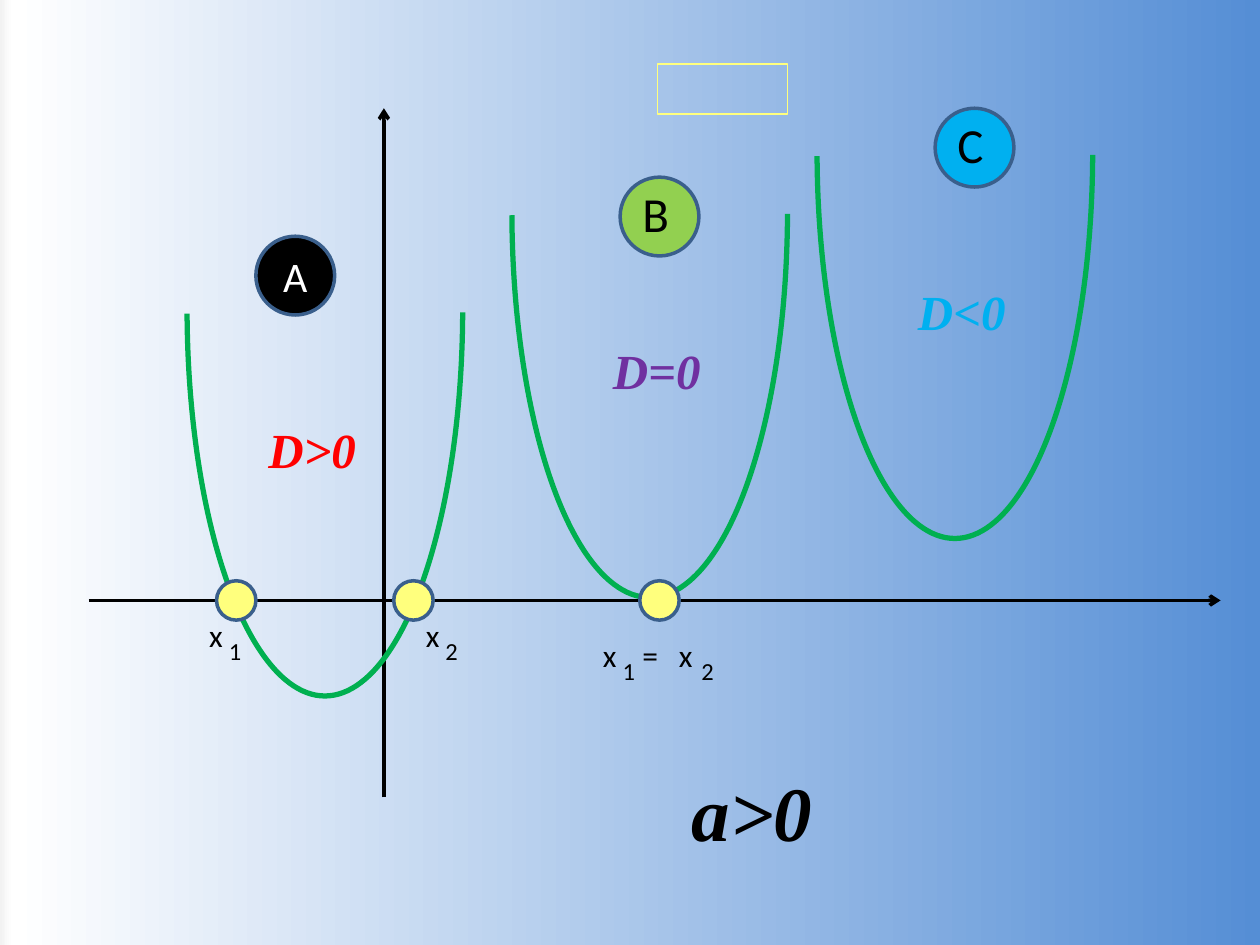
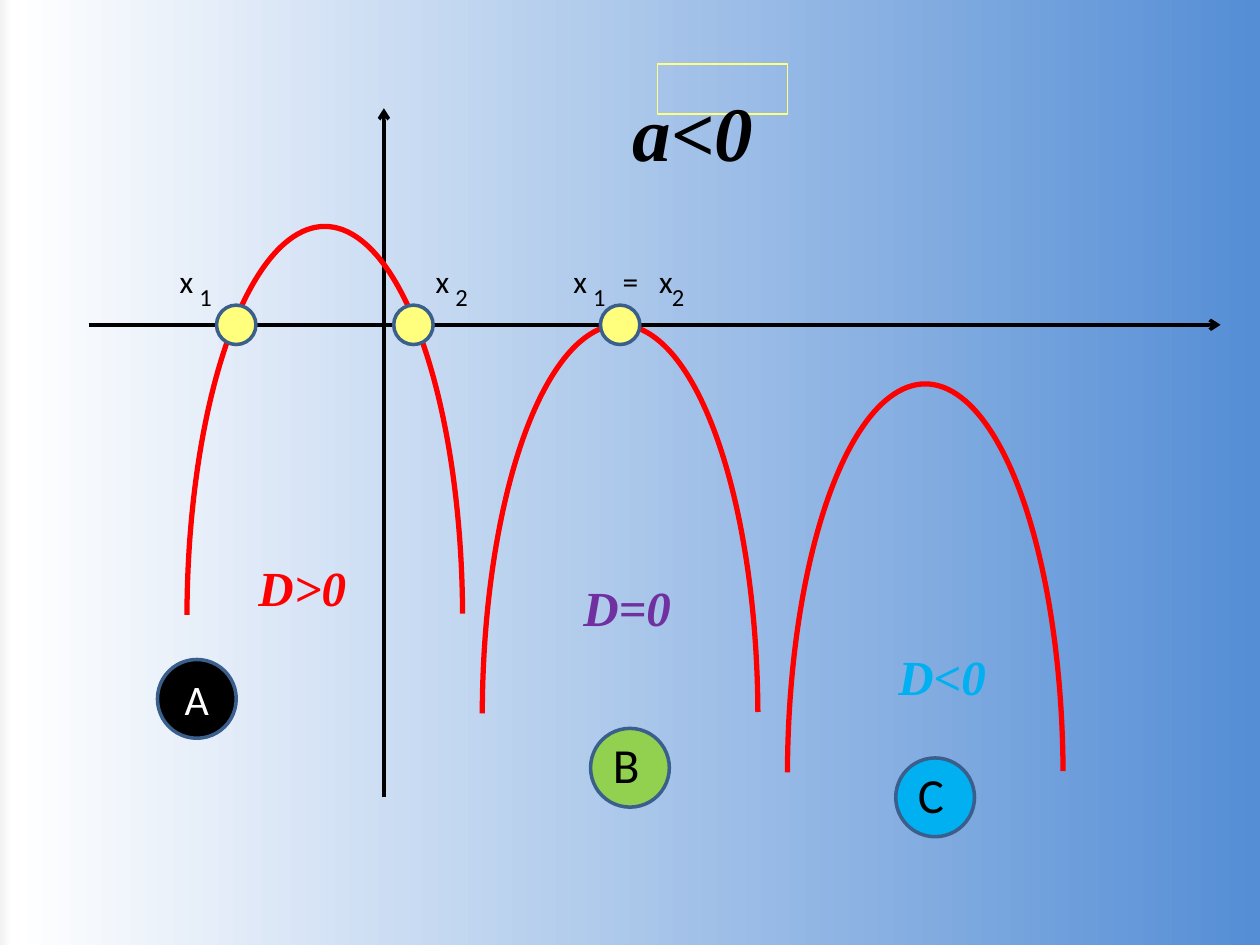
from copy import deepcopy

from lxml.etree import SubElement
from pptx import Presentation
from pptx.dml.color import RGBColor
from pptx.enum.shapes import MSO_CONNECTOR, MSO_SHAPE
from pptx.enum.text import MSO_ANCHOR, MSO_AUTO_SIZE, PP_ALIGN
from pptx.oxml.ns import qn
from pptx.util import Inches, Pt

COLORS = {
    "edge": "F2F2F2", "white": "FFFFFF", "blue": "558ED5", "black": "000000",
    "yellow": "FFFF7D", "outline": "3A5F8C", "green": "00B050", "red": "FF0000",
    "lime": "92D050", "cyan": "00B0F0", "purple": "7030A0",
}
BACKGROUND = [(0, "edge"), (0.01, "white"), (1, "blue")]
UNIT = Inches(10) / 128
Y_AXIS, X_START, X_END, Y_TOP, Y_BOTTOM = 39, 9, 124, 11, 81
ARC_WIDTH, DOT, BADGE = 28, 4, 8
FORMATS = {
    "root": {"name": "Calibri", "size": Pt(18)},
    "index": {"name": "Calibri", "size": Pt(14)},
    "badge": {"name": "Calibri", "size": Pt(24)},
    "letter": {"name": "Calibri", "size": Pt(28)},
    "case": {"name": "Times New Roman", "size": Pt(28), "bold": True, "italic": True},
    "sign": {"name": "Times New Roman", "size": Pt(44), "bold": True, "italic": True},
}
CASES = [("D>0", "red", 12.8), ("D=0", "purple", 11.6), ("D<0", "cyan", 11.6)]
BADGES = [("А", "black", 0), ("В", "lime", 5.4), ("С", "cyan", 5.2)]

SLIDES = [
    {
        "x_axis": 61, "curve": "green", "arc_height": 78.7, "rotation": 180,
        "arcs": [(52, -18), (83, -24), (19, -8)],
        "dots": [22, 40, 65],
        "roots": [(20, 62, "1"), (42, 62, "2"), (60, 64, "1")],
        "equals_offset": 4,
        "badges": [(26, 24), (63, 18), (95, 11)],
        "cases": [(26, 42), (61, 34), (92, 28)],
        "sign": ("а>0", 69, 77, 18),
    },
    {
        "x_axis": 33, "curve": "red", "arc_height": 79.7, "rotation": 0,
        "arcs": [(80, 39), (49, 33), (19, 23)],
        "dots": [22, 61, 40],
        "roots": [(17, 26, "1"), (43, 26, "2"), (57, 26, "1")],
        "equals_offset": 5,
        "badges": [(16, 67), (60, 74), (91, 77)],
        "cases": [(25, 56), (58, 58), (90, 65)],
        "sign": ("а<0", 63, 8, 17),
    },
]


def rgb(name):
    return RGBColor.from_string(COLORS[name])


def grid(*cells):
    return [round(cell * UNIT) for cell in cells]


def set_background(s):
    fill = s.background.fill
    fill.gradient()
    fill.gradient_angle = 0
    stops = s._element.find(".//" + qn("a:gsLst"))
    stops.append(deepcopy(stops[0]))
    for stop, (position, color) in zip(fill.gradient_stops, BACKGROUND):
        stop.position = position
        stop.color.rgb = rgb(color)


def add_axis(s, *ends):
    line = s.shapes.add_connector(MSO_CONNECTOR.STRAIGHT, *grid(*ends))
    line.line.color.rgb = rgb("black")
    line.line.width = Pt(2)
    SubElement(line.line._get_or_add_ln(), qn("a:tailEnd"), type="arrow")
    SubElement(line._element.spPr, qn("a:effectLst"))


def add_outline(s, kind, box, line, width, fill=None):
    sp = s.shapes.add_shape(kind, *grid(*box))
    sp.shadow.inherit = False
    sp.line.color.rgb = rgb(line)
    sp.line.width = Pt(width)
    if fill:
        sp.fill.solid()
        sp.fill.fore_color.rgb = rgb(fill)
    else:
        sp.fill.background()
    return sp


def add_parabola(s, x, y, height, rotation, color):
    sp = add_outline(s, MSO_SHAPE.ARC, (x, y, ARC_WIDTH, height), color, 3)
    sp.rotation = rotation
    sp.adjustments[0] = 108.919
    sp.adjustments[1] = 214.735


def add_circle(s, x, y, size, fill):
    return add_outline(s, MSO_SHAPE.OVAL, (x, y, size, size), "outline", 2, fill)


def write(tf, text, style, color):
    p = tf.paragraphs[0]
    r = p.add_run()
    r.text = text
    for name, value in FORMATS[style].items():
        setattr(r.font, name, value)
    r.font.color.rgb = rgb(color)
    return p


def add_label(s, text, style, x, y, width, height, color="black", wrap=False):
    tf = s.shapes.add_textbox(*grid(x, y, width, height)).text_frame
    tf.word_wrap = wrap
    tf.auto_size = MSO_AUTO_SIZE.SHAPE_TO_FIT_TEXT
    return write(tf, text, style, color)


def add_index(s, text, x, y):
    add_label(s, text, "index", x, y, 3.8, 4.3)


def add_root(s, x, y, index):
    add_label(s, "х", "root", x, y, 4, 5.2)
    add_index(s, index, x + 2, y + 2)


def add_equal_root(s, x, y, offset):
    p = add_label(s, "=\tх", "root", x + offset, y, 9, 5.2, wrap=True)
    tabs = SubElement(p._p.get_or_add_pPr(), qn("a:tabLst"))
    SubElement(tabs, qn("a:tab"), pos=str(Inches(0.29)), algn="l")
    add_index(s, "2", x + 10, y + 2)


def add_badge(s, x, y, letter, fill, letter_width):
    sp = add_circle(s, x, y, BADGE, fill)
    if letter_width:
        add_label(s, letter, "letter", x + 1, y, letter_width, 7.3)
    else:
        sp.text_frame.vertical_anchor = MSO_ANCHOR.MIDDLE
        write(sp.text_frame, letter, "badge", "white").alignment = PP_ALIGN.CENTER


def add_graph_slide(prs, graph):
    s = prs.slides.add_slide(prs.slide_layouts[6])
    set_background(s)
    x_axis = graph["x_axis"]
    add_axis(s, Y_AXIS, Y_BOTTOM, Y_AXIS, Y_TOP)
    add_axis(s, X_START, x_axis, X_END, x_axis)
    add_outline(s, MSO_SHAPE.RECTANGLE, (66.8, 6.5, 13.2, 5.1), "yellow", 0.75)
    for x, y in graph["arcs"]:
        add_parabola(s, x, y, graph["arc_height"], graph["rotation"], graph["curve"])
    for x in graph["dots"]:
        add_circle(s, x, x_axis - DOT / 2, DOT, "yellow")
    for root in graph["roots"]:
        add_root(s, *root)
    x, y, _ = graph["roots"][-1]
    add_equal_root(s, x, y, graph["equals_offset"])
    for place, badge in zip(graph["badges"], BADGES):
        add_badge(s, *place, *badge)
    for (x, y), (text, color, width) in zip(graph["cases"], CASES):
        add_label(s, text, "case", x, y, width, 7.3, color)
    text, x, y, width = graph["sign"]
    add_label(s, text, "sign", x, y, width, 10.7, wrap=True)


def main():
    prs = Presentation()
    prs.slide_width, prs.slide_height = Inches(10), Inches(7.5)
    for graph in SLIDES:
        add_graph_slide(prs, graph)
    prs.save("out.pptx")


if __name__ == "__main__":
    main()
